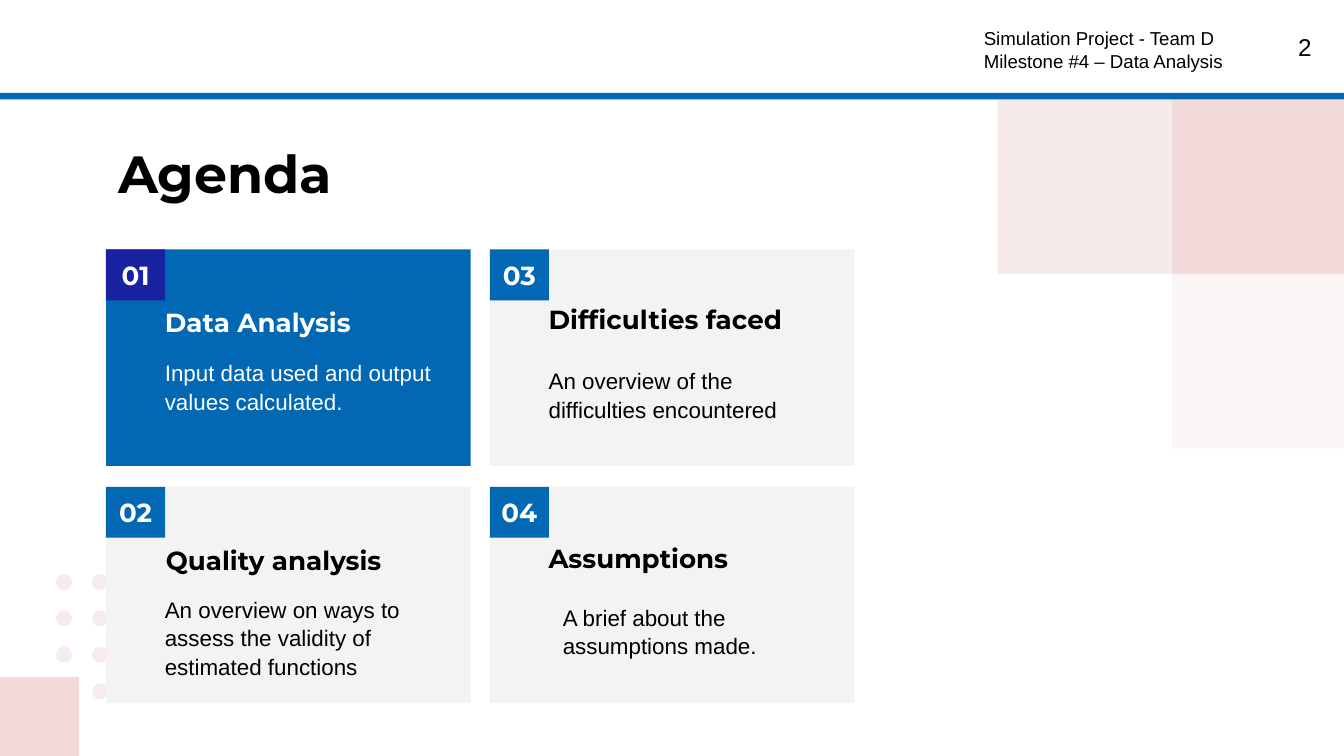
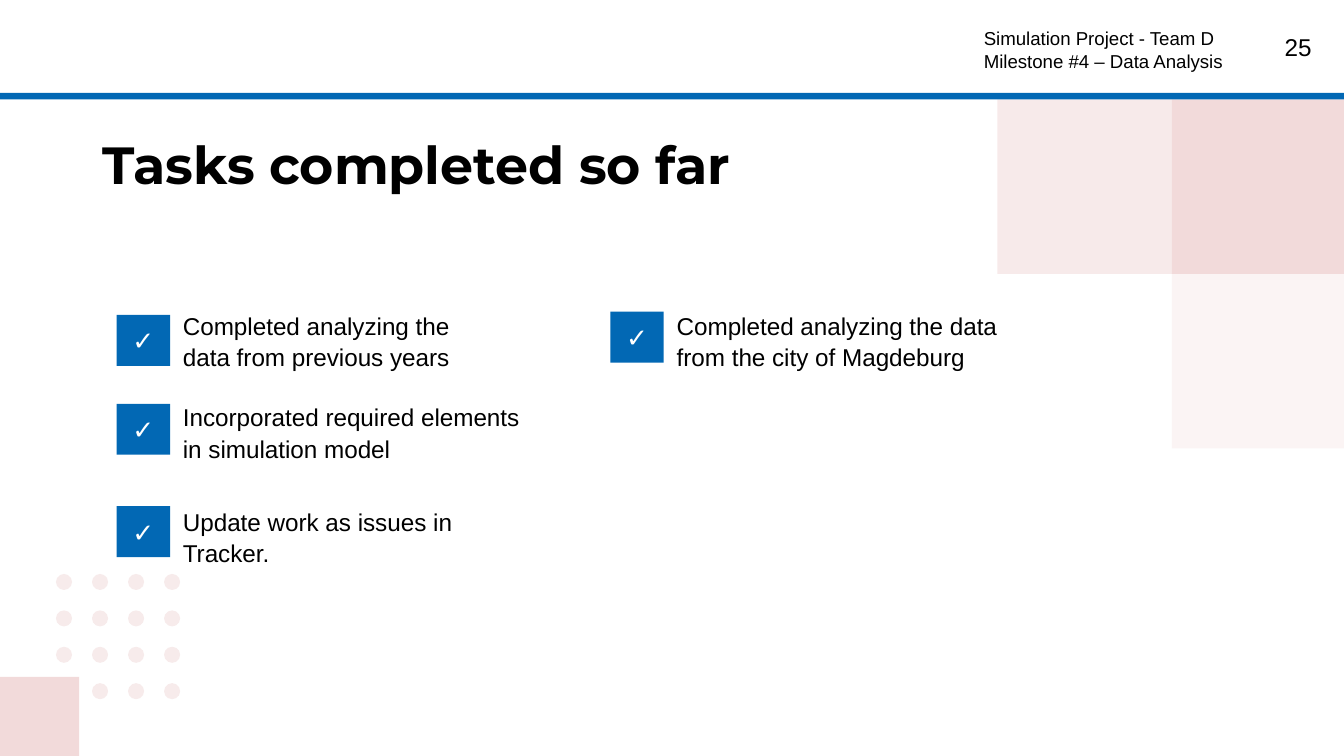
from lxml import etree
from pptx import Presentation
from pptx.dml.color import RGBColor
from pptx.enum.shapes import MSO_SHAPE
from pptx.enum.text import MSO_ANCHOR, PP_ALIGN
from pptx.oxml.ns import qn
from pptx.util import Pt

RECT, OVAL = MSO_SHAPE.RECTANGLE, MSO_SHAPE.OVAL
LEFT, CENTER, RIGHT = PP_ALIGN.LEFT, PP_ALIGN.CENTER, PP_ALIGN.RIGHT
TOP, MIDDLE = MSO_ANCHOR.TOP, MSO_ANCHOR.MIDDLE

COLORS = {
    "black": "000000", "white": "FFFFFF", "blue": "0268B4", "indigo": "1922A1",
    "grey": "F3F3F3", "rose": "F2DADA", "pale rose": "F7EBEB",
}
HEADING_FONT, BODY_FONT = "Montserrat", "Arial"
WIDTH, HEIGHT = 720, 405
INSET = 7.2
BAND_TOP, BAND_HEIGHT = 49.7, 3.6
BADGE_HEIGHT = 27.3
RUNNING_HEAD = "Simulation Project - Team D\nMilestone #4 – Data Analysis"

# number, heading, heading offset in card, summary, summary offset and width
AGENDA = [
    ("01", "Data Analysis", (24.4, 23.3),
     "Input data used and output values calculated.", (24.4, 50.5)),
    ("02", "Quality analysis", (25, 23.6),
     "An overview on ways to assess the validity of estimated functions", (24.4, 50.2)),
    ("03", "Difficulties faced", (24.4, 21.8),
     "An overview of the difficulties encountered", (24.4, 55)),
    ("04", "Assumptions", (24.4, 22.8),
     "A brief about the assumptions made.", (32, 54.4)),
]
# text, left and top of the check box, top and width of the text
TASKS = [
    ("Completed analyzing the data from previous years", 62.5, 168.7, 158.4, 175),
    ("Incorporated required elements in simulation model", 62.5, 216.3, 207.4, 198.7),
    ("Update work as issues in Tracker.", 62.5, 271.2, 263.5, 175),
    ("Completed analyzing the data from the city of Magdeburg", 327, 167, 158.4, 205.2),
]


def rgb(color):
    return RGBColor.from_string(COLORS[color])


def add_block(slide, left, top, width, height, color, geometry=RECT, opacity=None):
    """Add a borderless filled shape; opacity is a percentage."""
    block = slide.shapes.add_shape(geometry, Pt(left), Pt(top), Pt(width), Pt(height))
    block.shadow.inherit = False
    block.fill.solid()
    block.fill.fore_color.rgb = rgb(color)
    block.line.fill.background()
    if opacity is not None:
        tint = block._element.spPr.find(qn("a:solidFill"))[0]
        etree.SubElement(tint, qn("a:alpha")).set("val", str(opacity * 1000))
    return block


def write(holder, text, size, color="black", font=BODY_FONT, bold=False,
          align=LEFT, anchor=TOP, side_inset=INSET, line_spacing=None, space_after=0):
    frame = holder.text_frame
    frame.word_wrap = True
    frame.vertical_anchor = anchor
    frame.margin_left = frame.margin_right = Pt(side_inset)
    frame.margin_top = frame.margin_bottom = Pt(INSET)
    frame.text = text
    for paragraph in frame.paragraphs:
        paragraph.alignment = align
        paragraph.space_after = Pt(space_after)
        if line_spacing:
            paragraph.line_spacing = line_spacing
        for run in paragraph.runs:
            run.font.name = font
            run.font.size = Pt(size)
            run.font.bold = bold
            run.font.color.rgb = rgb(color)


def add_text(slide, left, top, width, height, text, size, **style):
    holder = slide.shapes.add_textbox(Pt(left), Pt(top), Pt(width), Pt(height))
    write(holder, text, size, **style)


def add_body(slide, left, top, width, height, text, size, color="black"):
    add_text(slide, left, top, width, height, text, size, color=color,
             line_spacing=1.07, space_after=8)


def add_title(slide, left, top, text):
    add_text(slide, left, top, 607.7, 45.4, text, 28, font=HEADING_FONT, bold=True)


def add_badge(slide, left, top, width, label, color="blue"):
    badge = add_block(slide, left, top, width, BADGE_HEIGHT, color)
    write(badge, label, 14, color="white", font=HEADING_FONT, bold=True,
          align=CENTER, anchor=MIDDLE, side_inset=0)


def add_dots(slide, columns):
    """Add four rows of dots; the corner square takes the place of the last row's first."""
    rows, pitch_x, pitch_y = 4, 19.3, 19.5
    for row in range(rows):
        for column in range(1 if row == rows - 1 else 0, columns):
            add_block(slide, 30 + column * pitch_x, 307.5 + row * pitch_y,
                      8.6, 8.6, "pale rose", OVAL)


def add_frame(slide, page, dot_columns):
    """Add the decoration, header band, running head and page number."""
    add_dots(slide, dot_columns)
    corner = 42.4
    add_block(slide, 0, HEIGHT - corner, corner, corner, "rose")
    square, square_left, square_top = 93.5, 627.8, BAND_TOP + BAND_HEIGHT
    for column, row, opacity in [(0, 0, None), (0, 1, 28), (-1, 0, 55)]:
        add_block(slide, square_left + column * square, square_top + row * square,
                  square, square, "rose", opacity=opacity)
    add_block(slide, 0, 0, WIDTH, BAND_TOP, "white")
    add_block(slide, 0, BAND_TOP, WIDTH, BAND_HEIGHT, "blue")
    add_text(slide, 666.5, 10.3, 43.2, 31, page, 13, align=RIGHT)
    add_text(slide, 520, 7.4, 167.8, 40.3, RUNNING_HEAD, 10)


def add_agenda_card(slide, left, top, item, active):
    number, heading, heading_offset, summary, summary_offset = item
    ink = "white" if active else "black"
    add_block(slide, left, top, 195.4, 116, "blue" if active else "grey")
    add_badge(slide, left, top, 31.7, number, "indigo" if active else "blue")
    add_text(slide, left + heading_offset[0], top + heading_offset[1], 146.2, 28,
             heading, 14, color=ink, font=HEADING_FONT, bold=True, space_after=8)
    add_body(slide, left + summary_offset[0], top + summary_offset[1], 157.7, 40,
             summary, 12, ink)


def add_task(slide, text, left, box_top, text_top, text_width):
    box_width = 28.6
    add_badge(slide, left, box_top, box_width, "✓")
    add_body(slide, left + box_width - 0.2, text_top, text_width, 45.4, text, 13)


def build_agenda(slide):
    add_frame(slide, "2", dot_columns=2)
    add_title(slide, 56.2, 68.4, "Agenda")
    for index, item in enumerate(AGENDA):
        column, row = divmod(index, 2)
        add_agenda_card(slide, 56.8 + column * 205.6, 133.6 + row * 127.2,
                        item, active=index == 0)


def build_tasks(slide):
    add_frame(slide, "25", dot_columns=4)
    add_title(slide, 48, 63.7, "Tasks completed so far")
    for task in TASKS:
        add_task(slide, *task)


def main():
    deck = Presentation()
    deck.slide_width, deck.slide_height = Pt(WIDTH), Pt(HEIGHT)
    blank = deck.slide_layouts[6]
    for build in (build_agenda, build_tasks):
        build(deck.slides.add_slide(blank))
    deck.save("out.pptx")


if __name__ == "__main__":
    main()
